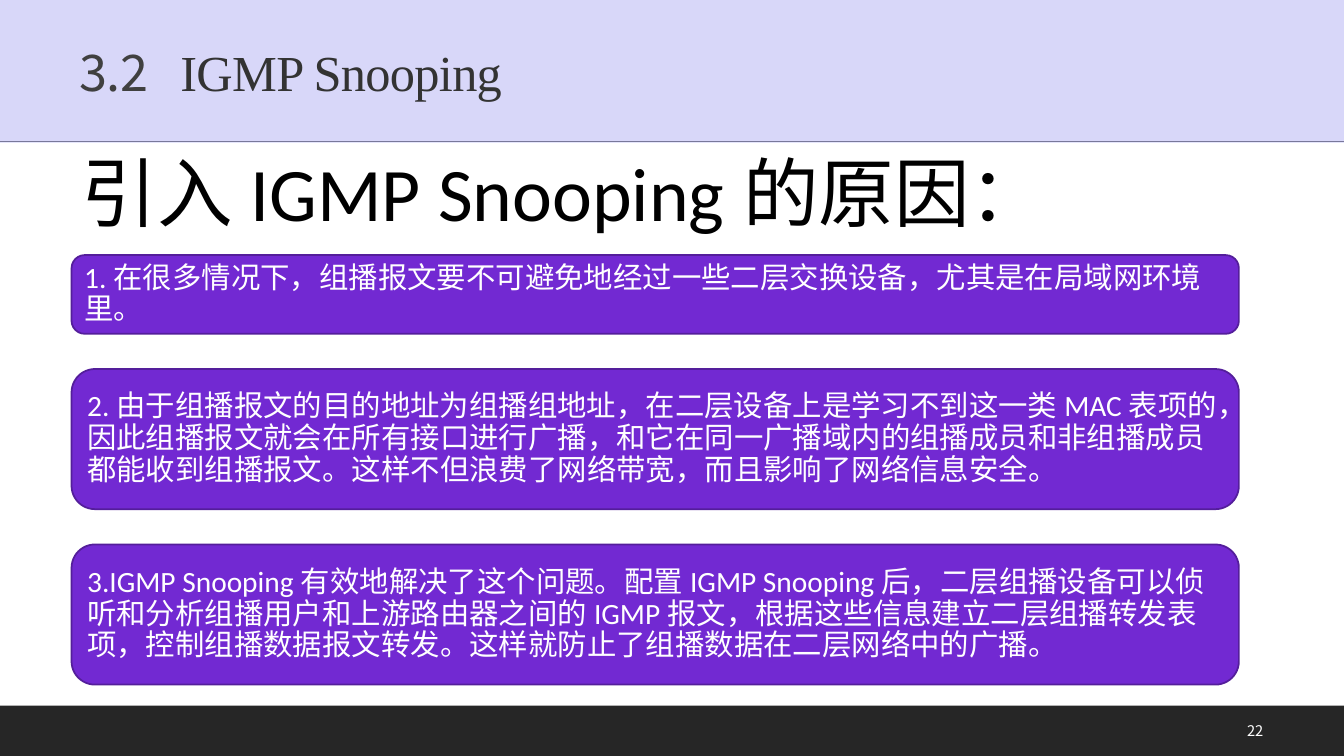
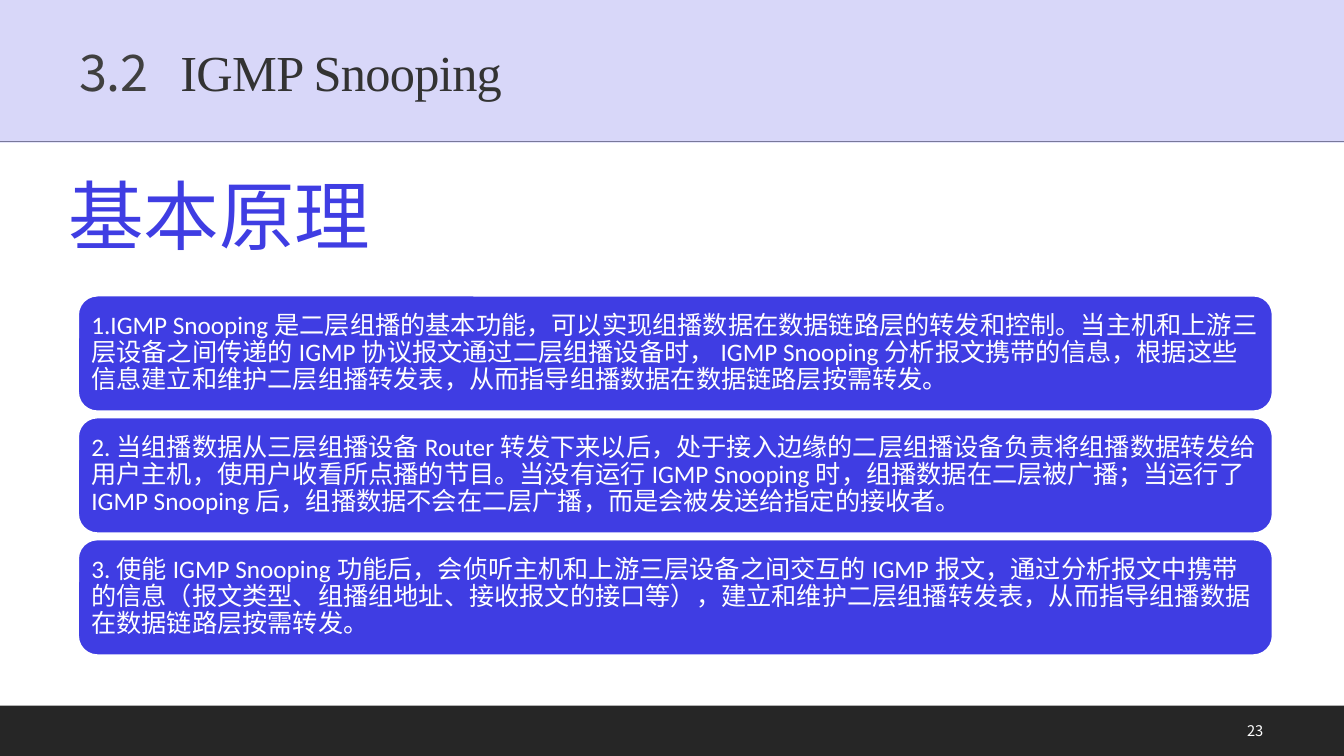
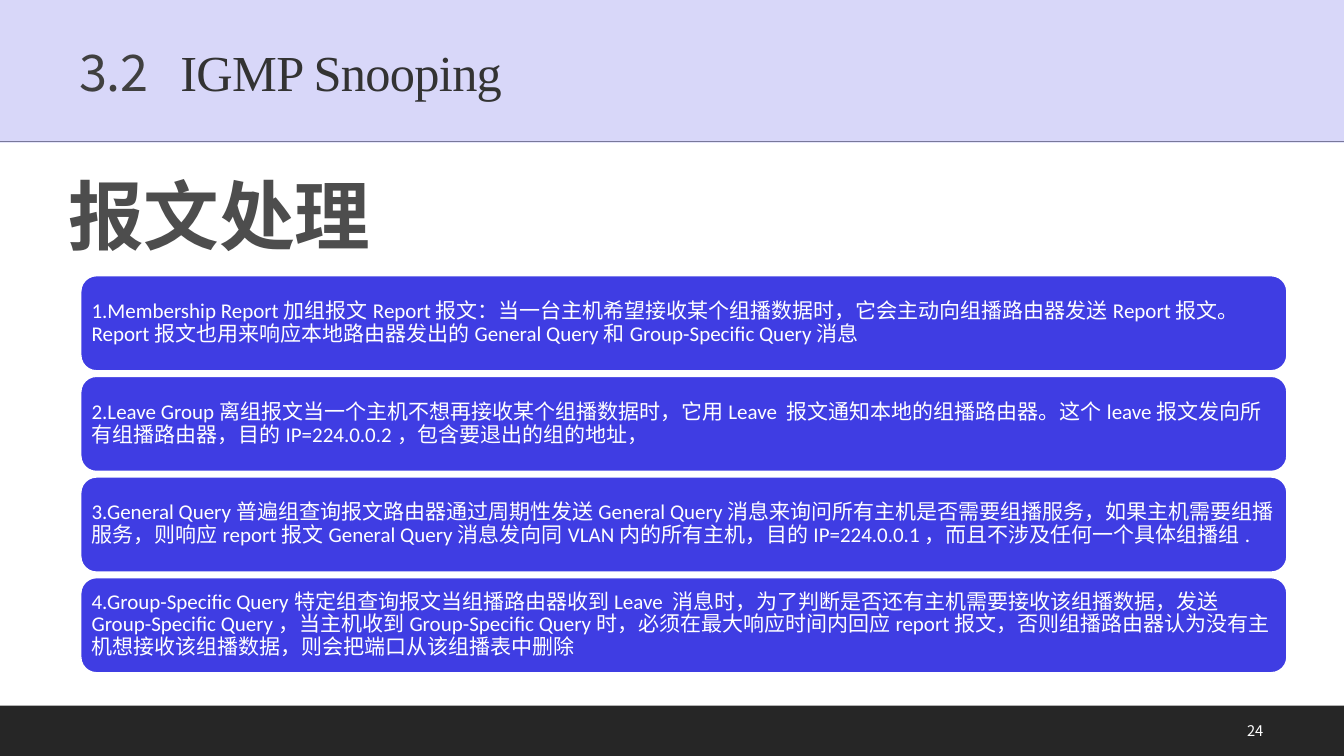
from dataclasses import dataclass

import pptx
import pptx.dml.color
import pptx.enum.shapes
import pptx.enum.text
import pptx.oxml.ns
import pptx.oxml.xmlchemy
import pptx.slide
import pptx.util
from lxml import etree

Pt = pptx.util.Pt
RGB = pptx.dml.color.RGBColor
Shape = pptx.enum.shapes.MSO_SHAPE
Align = pptx.enum.text.PP_ALIGN
Anchor = pptx.enum.text.MSO_ANCHOR
qn = pptx.oxml.ns.qn

# Shared look
WIDE, HIGH = 960, 540
WHITE = RGB(0xFF, 0xFF, 0xFF)
BLACK = RGB(0x00, 0x00, 0x00)
DARK = RGB(0x26, 0x26, 0x26)
GREY = RGB(0x40, 0x40, 0x40)
INK = RGB(0x33, 0x33, 0x33)
SLATE = RGB(0x4D, 0x4D, 0x4D)
LILAC = RGB(0xB2, 0xB1, 0xF4)
BLUE = RGB(0x3F, 0x3D, 0xE3)
PURPLE = RGB(0x72, 0x29, 0xD2)
PLUM = RGB(0x54, 0x1E, 0x9B)
BODY, SANS, SERIF = "Calibri", "Noto Sans CJK SC", "Times New Roman"


@dataclass(frozen=True)
class Head:
    text: str
    left: float
    top: float
    wide: float
    color: RGB
    face: str = BODY
    bold: bool = False
    align: Align = Align.CENTER


@dataclass(frozen=True)
class Stack:
    left: float
    top: float
    wide: float
    highs: tuple[float, ...]
    gap: float
    size: float
    fill: RGB
    edge: RGB
    texts: tuple[str, ...]


@dataclass(frozen=True)
class Page:
    number: int
    head: Head
    stack: Stack


PAGES = (
    Page(
        22,
        Head("引入IGMP Snooping的原因：", 51.1, 100.8, 683.3, BLACK, align=Align.LEFT),
        Stack(51.1, 182.2, 833.8, (56.2, 100.1, 100.1), 25.2, 21, PURPLE, PLUM, (
            "1.在很多情况下，组播报文要不可避免地经过一些二层交换设备，尤其是在局域网环境里。",
            "2.由于组播报文的目的地址为组播组地址，在二层设备上是学习不到这一类MAC表项的，"
            "因此组播报文就会在所有接口进行广播，和它在同一广播域内的组播成员和非组播成员"
            "都能收到组播报文。这样不但浪费了网络带宽，而且影响了网络信息安全。",
            "3.IGMP Snooping有效地解决了这个问题。配置IGMP Snooping后，二层组播设备可以侦"
            "听和分析组播用户和上游路由器之间的IGMP报文，根据这些信息建立二层组播转发表"
            "项，控制组播数据报文转发。这样就防止了组播数据在二层网络中的广播。",
        )),
    ),
    Page(
        23,
        Head("基本原理", 40.3, 117.4, 232.6, BLUE),
        Stack(55.8, 211.2, 853.2, (82.6,) * 3, 4.5, 18, BLUE, WHITE, (
            "1.IGMP Snooping是二层组播的基本功能，可以实现组播数据在数据链路层的转发和控制。"
            "当主机和上游三层设备之间传递的IGMP协议报文通过二层组播设备时，"
            "IGMP Snooping分析报文携带的信息，根据这些信息建立和维护二层组播转发表，"
            "从而指导组播数据在数据链路层按需转发。",
            "2.当组播数据从三层组播设备Router转发下来以后，处于接入边缘的二层组播设备负责"
            "将组播数据转发给用户主机，使用户收看所点播的节目。当没有运行IGMP Snooping时，"
            "组播数据在二层被广播；当运行了IGMP Snooping后，组播数据不会在二层广播，"
            "而是会被发送给指定的接收者。",
            "3.使能IGMP Snooping功能后，会侦听主机和上游三层设备之间交互的IGMP报文，"
            "通过分析报文中携带的信息（报文类型、组播组地址、接收报文的接口等），"
            "建立和维护二层组播转发表，从而指导组播数据在数据链路层按需转发。",
        )),
    ),
    Page(
        24,
        Head("报文处理", 40.3, 117.4, 232.6, SLATE, "Lato", True),
        Stack(57.6, 196.8, 861.8, (68.2,) * 4, 3.7, 15, BLUE, WHITE, (
            "1.Membership Report加组报文Report报文：当一台主机希望接收某个组播数据时，"
            "它会主动向组播路由器发送Report报文。Report报文也用来响应本地路由器发出的"
            "General Query和Group-Specific Query消息",
            "2.Leave Group离组报文当一个主机不想再接收某个组播数据时，它用Leave 报文通知"
            "本地的组播路由器。这个leave报文发向所有组播路由器，目的IP=224.0.0.2，"
            "包含要退出的组的地址，",
            "3.General Query普遍组查询报文路由器通过周期性发送General Query消息来询问所有"
            "主机是否需要组播服务，如果主机需要组播服务，则响应report报文General Query消息"
            "发向同VLAN内的所有主机，目的IP=224.0.0.1，而且不涉及任何一个具体组播组.",
            "4.Group-Specific Query特定组查询报文当组播路由器收到Leave 消息时，为了判断是否"
            "还有主机需要接收该组播数据，发送Group-Specific Query，当主机收到"
            "Group-Specific Query时，必须在最大响应时间内回应report报文，否则组播路由器认为"
            "没有主机想接收该组播数据，则会把端口从该组播表中删除",
        )),
    ),
)


def style(font: pptx.text.text.Font, face: str, size: float, color: RGB) -> None:
    font.name, font.size = face, Pt(size)
    font.color.rgb = color


def block(slide: pptx.slide.Slide, kind: Shape, left: float, top: float,
          wide: float, high: float, fill: RGB) -> pptx.shapes.autoshape.Shape:
    shape = slide.shapes.add_shape(kind, Pt(left), Pt(top), Pt(wide), Pt(high))
    shape.shadow.inherit = False
    shape.fill.solid()
    shape.fill.fore_color.rgb = fill
    shape.line.fill.background()
    return shape


def pad(frame: pptx.text.text.TextFrame, left: float, top: float,
        right: float, low: float) -> None:
    frame.margin_left, frame.margin_top = Pt(left), Pt(top)
    frame.margin_right, frame.margin_bottom = Pt(right), Pt(low)
    frame.vertical_anchor = Anchor.MIDDLE
    frame.word_wrap = True


def draw_base(slide: pptx.slide.Slide, number: int) -> None:
    # Footer and page number
    block(slide, Shape.RECTANGLE, 0, 504, WIDE, 36, DARK)
    box = slide.shapes.add_textbox(Pt(860.4), Pt(507.6), Pt(49), Pt(28.8))
    box.text_frame.vertical_anchor = Anchor.MIDDLE
    para = box.text_frame.paragraphs[0]
    para.text, para.alignment = str(number), Align.RIGHT
    style(para.font, SANS, 10.5, WHITE)

    # Rule below the title
    rule = slide.shapes.add_connector(
        pptx.enum.shapes.MSO_CONNECTOR.STRAIGHT, 0, Pt(101), Pt(WIDE), Pt(101))
    rule.line.color.rgb, rule.line.width = GREY, Pt(1)
    etree.SubElement(rule._element.spPr, qn("a:effectLst"))

    # Half-clear title band
    band = block(slide, Shape.RECTANGLE, 0, 0, WIDE, 102, LILAC)
    tint = band._element.spPr.find(".//" + qn("a:srgbClr"))
    etree.SubElement(tint, qn("a:alpha")).set("val", "50000")
    pad(band.text_frame, 56.9, 8.6, 7.2, 3.6)
    para = band.text_frame.paragraphs[0]
    para.alignment, para.line_spacing = Align.LEFT, 0.9
    for text, face, color in (("3.2\t", SANS, GREY), ("IGMP Snooping", SERIF, INK)):
        run = para.add_run()
        run.text = text
        style(run.font, face, 36, color)
        run._r.get_or_add_rPr().set("spc", "-50")


def draw_head(slide: pptx.slide.Slide, head: Head) -> None:
    box = slide.shapes.add_textbox(Pt(head.left), Pt(head.top), Pt(head.wide), Pt(72.7))
    box.text_frame.word_wrap = False
    para = box.text_frame.paragraphs[0]
    para.text, para.alignment = head.text, head.align
    style(para.font, head.face, 54, head.color)
    para.font.bold = head.bold


def draw_stack(slide: pptx.slide.Slide, stack: Stack) -> None:
    top = stack.top
    inset = 0.3 * stack.size
    for high, text in zip(stack.highs, stack.texts):
        card = block(slide, Shape.ROUNDED_RECTANGLE, stack.left, top,
                     stack.wide, high, stack.fill)
        card.line.color.rgb, card.line.width = stack.edge, Pt(1.25)
        pad(card.text_frame, inset, inset, inset, inset)
        para = card.text_frame.paragraphs[0]
        para.text, para.alignment, para.line_spacing = text, Align.LEFT, 0.9
        style(para.font, BODY, stack.size, WHITE)
        top += high + stack.gap


def main() -> None:
    deck = pptx.Presentation()
    deck.slide_width, deck.slide_height = Pt(WIDE), Pt(HIGH)
    for page in PAGES:
        slide = deck.slides.add_slide(deck.slide_layouts[6])
        draw_base(slide, page.number)
        draw_head(slide, page.head)
        draw_stack(slide, page.stack)
    deck.save("out.pptx")


if __name__ == "__main__":
    main()
